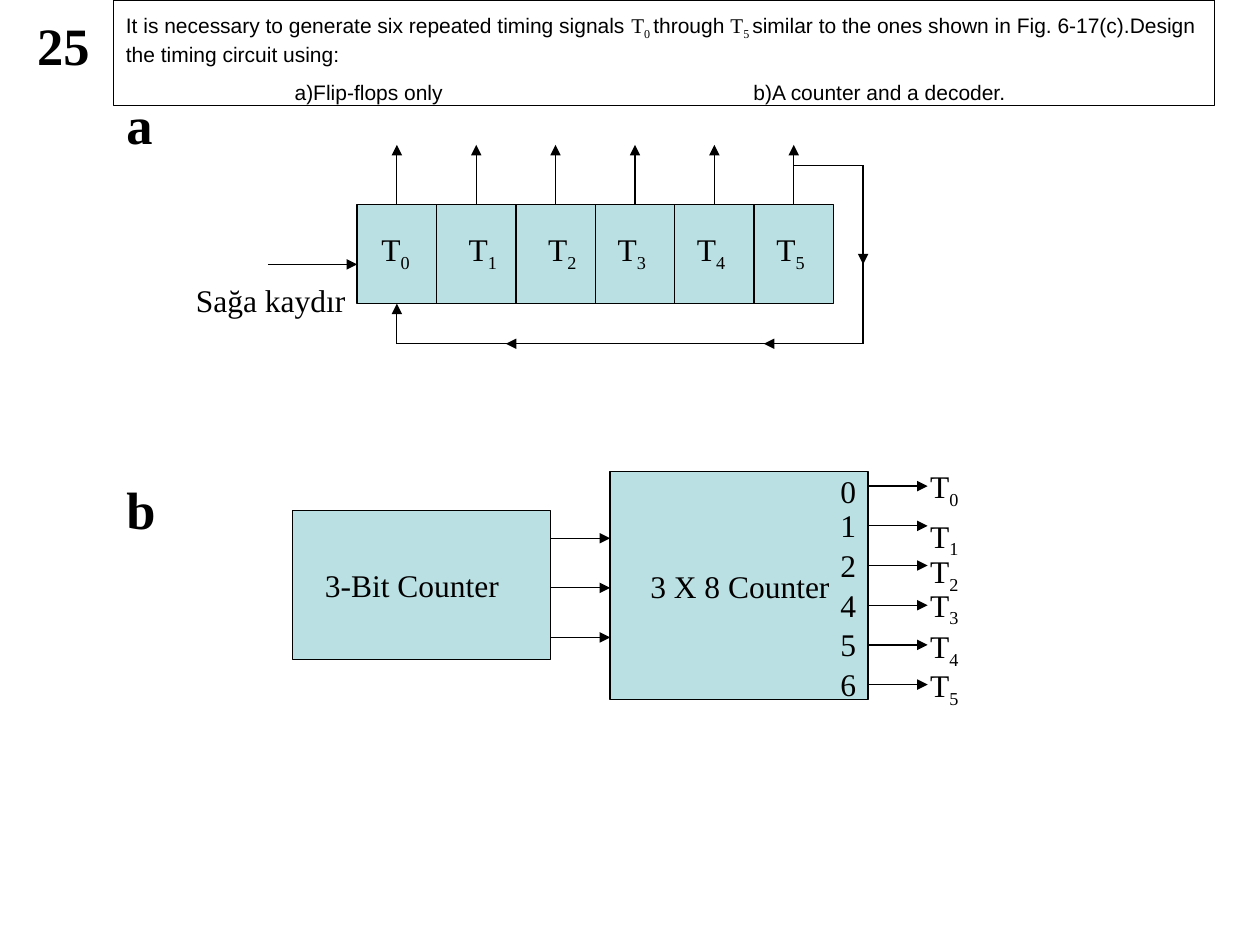
from dataclasses import dataclass

from lxml import etree
from pptx import Presentation
from pptx.dml.color import RGBColor
from pptx.enum.shapes import MSO_CONNECTOR, MSO_SHAPE
from pptx.enum.text import MSO_AUTO_SIZE
from pptx.oxml.ns import qn
from pptx.util import Cm, Pt

RECT = MSO_SHAPE.RECTANGLE
LINE = MSO_CONNECTOR.STRAIGHT
GROW = MSO_AUTO_SIZE.SHAPE_TO_FIT_TEXT


@dataclass(frozen=True)
class Theme:
    ink: RGBColor = RGBColor(0x00, 0x00, 0x00)
    fill: RGBColor = RGBColor(0xBB, 0xE0, 0xE3)
    serif: str = "Times New Roman"
    sans: str = "Arial"
    head: Pt = Pt(30)
    label: Pt = Pt(18)
    task: Pt = Pt(12)
    gap: Pt = Pt(7.5)
    edge: Pt = Pt(0.75)


THEME = Theme()
HEAD = {"name": THEME.serif, "size": THEME.head, "bold": True}
LABEL = {"name": THEME.serif, "size": THEME.label}
TASK = {"name": THEME.sans, "size": THEME.task}
SIGN = {"name": THEME.serif, "size": THEME.task}


def add_run(para, text, form, low=False):
    run = para.add_run()
    run.text = text
    for key, value in form.items():
        setattr(run.font, key, value)
    run.font.color.rgb = THEME.ink
    if low:
        run.font._element.set("baseline", "-25000")


def add_text(slide, x, y, wide, high, runs):
    box = slide.shapes.add_textbox(Cm(x), Cm(y), Cm(wide), Cm(high))
    frame = box.text_frame
    frame.word_wrap = True
    frame.auto_size = GROW
    for run in runs:
        add_run(frame.paragraphs[0], *run)
    return frame


def add_sign(slide, x, y, wide, index):
    add_text(slide, x, y, wide, 1.12, [("T", LABEL), (str(index), LABEL, True)])


def add_box(slide, x, y, wide, high, fill=None):
    box = slide.shapes.add_shape(RECT, Cm(x), Cm(y), Cm(wide), Cm(high))
    box.shadow.inherit = False
    if fill is None:
        box.fill.background()
    else:
        box.fill.solid()
        box.fill.fore_color.rgb = fill
    box.line.color.rgb = THEME.ink
    box.line.width = THEME.edge


def add_line(slide, x1, y1, x2, y2, arrow=False):
    wire = slide.shapes.add_connector(LINE, Cm(x1), Cm(y1), Cm(x2), Cm(y2))
    wire.line.color.rgb = THEME.ink
    wire.line.width = THEME.edge
    if arrow:
        tail = etree.SubElement(wire.line._get_or_add_ln(), qn("a:tailEnd"))
        tail.set("type", "triangle")
    etree.SubElement(wire._element.spPr, qn("a:effectLst"))


def add_tabs(para, stops):
    tabs = etree.SubElement(para._p.get_or_add_pPr(), qn("a:tabLst"))
    for stop in stops:
        tab = etree.SubElement(tabs, qn("a:tab"))
        tab.set("pos", str(Cm(stop)))
        tab.set("algn", "l")


def draw_task(slide):
    add_box(slide, 2.29, 0, 22.2, 2.13)
    frame = add_text(slide, 2.29, 0.13, 22.4, 2.11, [
        ("It is necessary to generate six repeated timing signals ", TASK),
        ("T", SIGN), ("0 ", SIGN, True),
        ("through ", TASK),
        ("T", SIGN), ("5 ", SIGN, True),
        ("similar to the ones shown in Fig. 6-17(c)."
         "Design the timing circuit using:", TASK),
    ])
    parts = frame.add_paragraph()
    add_tabs(parts, (3.4, 12.65))
    parts.space_before = THEME.gap
    add_run(parts, "\ta)Flip-flops only\tb)A counter and a decoder.", TASK)


def draw_ring(slide):
    left, top, base, step = 7.2, 4.12, 6.12, 1.6
    add_box(slide, left, top, 6 * step, base - top, THEME.fill)
    for i in range(1, 6):
        add_line(slide, left + i * step, base, left + i * step, top)
    for i, x in enumerate((7.44, 9.2, 10.8, 12.2, 13.8, 15.4)):
        add_sign(slide, x, 4.52, 1.4, i)
        mid = left + (i + 0.5) * step
        add_line(slide, mid, top, mid, 2.92, True)

    first, last, right, high, low = 8, 16, 17.4, 3.33, 6.93
    add_line(slide, last, high, right, high)
    add_line(slide, right, high, right, low)
    add_line(slide, right, low, first, low)
    add_line(slide, first, low, first, base, True)
    for x in (16.8, 11.6):
        add_line(slide, x, low, x - 1.4, low, True)
    add_line(slide, right, 3.92, right, 5.33, True)
    add_line(slide, 5.4, 5.33, left, 5.33, True)
    add_text(slide, 3.7, 5.54, 5.3, 1.02, [("Sağa kaydır", LABEL)])


def draw_count(slide):
    add_box(slide, 5.9, 10.29, 5.2, 3, THEME.fill)
    add_text(slide, 6.3, 11.28, 4.6, 1.02, [("3-Bit Counter", LABEL)])
    add_box(slide, 12.3, 9.5, 5.2, 4.6, THEME.fill)
    add_text(slide, 12.86, 11.3, 4.24, 1.02, [("3 X 8 Counter", LABEL)])
    for i in range(3):
        add_line(slide, 11.1, 10.85 + i, 12.3, 10.85 + i, True)

    ports = zip("012456",
                (9.4, 10.08, 10.88, 11.68, 12.48, 13.28),
                (9.3, 10.29, 11, 11.68, 12.52, 13.31))
    for i, (port, y, out) in enumerate(ports):
        add_line(slide, 17.5, 9.8 + 0.8 * i, 18.7, 9.8 + 0.8 * i, True)
        add_text(slide, 16.69, y, 2.2, 1.02, [(port, LABEL)])
        add_sign(slide, 18.5, out, 2.2, i)


def main():
    deck = Presentation()
    deck.slide_width, deck.slide_height = Cm(25.4), Cm(19.05)
    slide = deck.slides.add_slide(deck.slide_layouts[6])
    for text, x, y in (("25", 0.5, 0.13), ("a", 2.3, 1.73), ("b", 2.3, 9.5)):
        add_text(slide, x, y, 1.8, 1.52, [(text, HEAD)])
    draw_ring(slide)
    draw_count(slide)
    draw_task(slide)
    deck.save("out.pptx")


if __name__ == "__main__":
    main()
